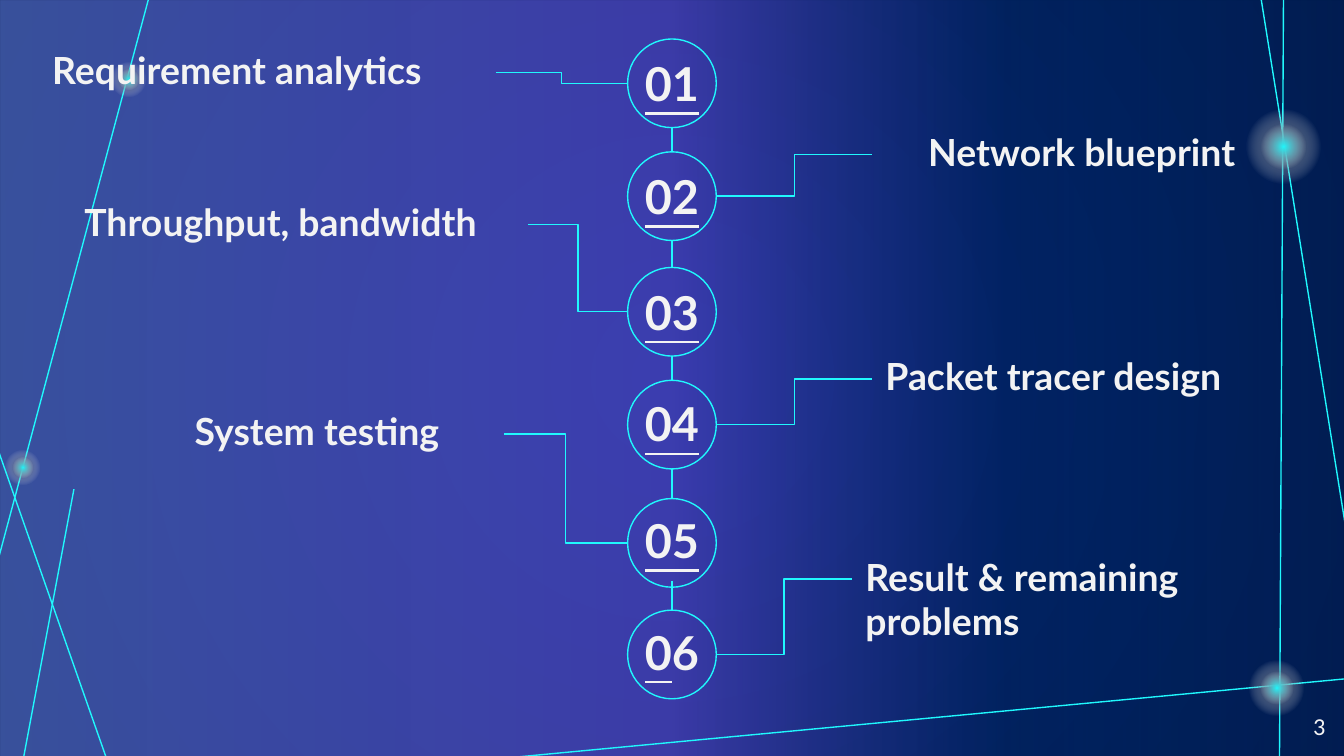
from lxml import etree
from pptx import Presentation
from pptx.dml.color import RGBColor
from pptx.enum.shapes import MSO_CONNECTOR, MSO_SHAPE
from pptx.enum.text import MSO_ANCHOR, PP_ALIGN
from pptx.oxml.ns import qn
from pptx.util import Inches, Pt

STRAIGHT, ELBOW = MSO_CONNECTOR.STRAIGHT, MSO_CONNECTOR.ELBOW
OVAL, RECTANGLE = MSO_SHAPE.OVAL, MSO_SHAPE.RECTANGLE
LEFT, CENTER, RIGHT = PP_ALIGN.LEFT, PP_ALIGN.CENTER, PP_ALIGN.RIGHT
TOP = MSO_ANCHOR.TOP
RIGHT_SIDE, LEFT_SIDE = 3, 1

CYAN = RGBColor(0x20, 0xF8, 0xFD)
NAVY = RGBColor(0x01, 0x20, 0x60)
DARK_NAVY = RGBColor(0x00, 0x18, 0x3A)
LIGHT = RGBColor(0xF3, 0xF3, 0xF3)
PERIWINKLE = RGBColor(0x74, 0x8B, 0xFF)
VIOLET = RGBColor(0x76, 0x59, 0xFF)
BLUE = RGBColor(0x02, 0x2E, 0x88)

WIDTH = 10
HEIGHT = WIDTH * 9 / 16

# Gradient stops: position %, colour, opacity %
BACKGROUND_STOPS = [(0, NAVY, 100), (100, DARK_NAVY, 100)]
WASH_STOPS = [(0, PERIWINKLE, 49), (50, VIOLET, 50), (75, BLUE, 35), (100, NAVY, 60)]

# Decorative lines: x1, y1, x2, y2
NETWORK_LINES = [
    (9.38, -0.03, 10.02, 3.97),
    (9.55, -0.06, 9.52, 5.73),
    (3.77, 5.64, 10.13, 5.04),
    (-0.01, 3.36, 0.83, 5.75),
    (0.16, 5.72, 0.55, 3.64),
    (1.13, -0.1, -0.01, 4.15),
]
# Glowing nodes: centre x, centre y, halo diameter, core diameter
NODES = [
    (9.55, 1.09, 0.79, 0.47),
    (9.5, 5.12, 0.58, 0.35),
    (0.17, 3.48, 0.37, 0.22),
    (0.96, 0.59, 0.37, 0.22),
]

# Steps: number, circle top, number top, label, label left, top, width, alignment, indent
STEPS = [
    ("01", 0.29, 0.31, "Requirement analytics", 0.29, 0.25, 3.4, LEFT, 0),
    ("02", 1.13, 1.15, "Network blueprint", 6.49, 0.86, 2.8, RIGHT, 0),
    ("03", 1.99, 2.01, "Throughput, bandwidth", 0.53, 1.38, 3.4, LEFT, 0),
    ("04", 2.83, 2.84, "Packet tracer design", 6.49, 2.53, 3.1, LEFT, 0),
    ("05", 3.71, 3.71, "System testing", 0.35, 2.94, 3.4, LEFT, 1),
    ("06", 4.54, 4.54, "Result & remaining problems", 6.34, 4.02, 3.1, LEFT, 0),
]
CENTER_X = 5
DIAMETER = 0.66
NUMBER_WIDTH, NUMBER_HEIGHT = 1.14, 0.61
LABEL_HEIGHT = 0.58


def set_gradient(element, stops, radial):
    """Turn the first solid fill below the element into a gradient."""
    solid = element.find(".//" + qn("a:solidFill"))
    gradient = etree.Element(qn("a:gradFill"), rotWithShape="1")
    stop_list = etree.SubElement(gradient, qn("a:gsLst"))
    for position, color, opacity in stops:
        stop = etree.SubElement(stop_list, qn("a:gs"), pos=str(position * 1000))
        value = etree.SubElement(stop, qn("a:srgbClr"), val=str(color))
        if opacity < 100:
            etree.SubElement(value, qn("a:alpha"), val=str(opacity * 1000))
    if radial:
        circle = etree.SubElement(gradient, qn("a:path"), attrib={"path": "circle"})
        etree.SubElement(circle, qn("a:fillToRect"), l="50000", t="50000", r="50000", b="50000")
    else:
        etree.SubElement(gradient, qn("a:lin"), ang="0", scaled="0")
    solid.getparent().replace(solid, gradient)


def add_gradient_shape(slide, kind, box, stops, radial):
    shape = slide.shapes.add_shape(kind, *map(Inches, box))
    shape.shadow.inherit = False
    shape.line.fill.background()
    shape.fill.solid()
    set_gradient(shape.element, stops, radial)


def add_line(slide, kind, *points):
    connector = slide.shapes.add_connector(kind, *map(Inches, points))
    connector.line.color.rgb = CYAN
    connector.line.width = Pt(0.75)
    etree.SubElement(connector.element.spPr, qn("a:effectLst"))
    return connector


def style_run(run, size, font="Lato", bold=True):
    run.font.size = Pt(size)
    run.font.name = font
    run.font.bold = bold
    run.font.color.rgb = LIGHT


def add_text(slide, text, box, size, alignment, font="Lato", bold=True):
    shape = slide.shapes.add_textbox(*map(Inches, box))
    frame = shape.text_frame
    frame.word_wrap = True
    frame.vertical_anchor = TOP
    frame.margin_left = frame.margin_right = Inches(0.1)
    frame.margin_top = frame.margin_bottom = Inches(0.1)
    frame.text = text
    paragraph = frame.paragraphs[0]
    paragraph.alignment = alignment
    style_run(paragraph.runs[0], size, font, bold)
    return shape


presentation = Presentation()
presentation.slide_width = Inches(WIDTH)
presentation.slide_height = Inches(HEIGHT)
slide = presentation.slides.add_slide(presentation.slide_layouts[6])

# Background, colour wash and network decoration
slide.background.fill.solid()
set_gradient(slide.element, BACKGROUND_STOPS, True)
add_gradient_shape(slide, RECTANGLE, (0, 0, WIDTH, HEIGHT), WASH_STOPS, False)
for points in NETWORK_LINES:
    add_line(slide, STRAIGHT, *points)
for x, y, halo, core in NODES:
    for diameter, color in ((halo, DARK_NAVY), (core, CYAN)):
        box = (x - diameter / 2, y - diameter / 2, diameter, diameter)
        add_gradient_shape(slide, OVAL, box, [(0, color, 100), (50, LIGHT, 0), (100, LIGHT, 0)], True)

# Steps: circle, number, label and the elbow between circle and label
for number, top, number_top, text, left, label_top, width, alignment, indent in STEPS:
    circle_box = (CENTER_X - DIAMETER / 2, top, DIAMETER, DIAMETER)
    circle = slide.shapes.add_shape(OVAL, *map(Inches, circle_box))
    circle.shadow.inherit = False
    circle.fill.background()
    circle.line.color.rgb = CYAN
    circle.line.width = Pt(0.75)

    # Only the first digit of the last number is underlined
    number_box = (CENTER_X - NUMBER_WIDTH / 2, number_top, NUMBER_WIDTH, NUMBER_HEIGHT)
    underlined = "0" if number == "06" else number
    paragraph = add_text(slide, underlined, number_box, 25, CENTER).text_frame.paragraphs[0]
    paragraph.runs[0].font.underline = True
    if underlined != number:
        rest = paragraph.add_run()
        rest.text = number[1:]
        style_run(rest, 25)

    label = add_text(slide, text, (left, label_top, width, LABEL_HEIGHT), 20, alignment)
    if indent:
        label.element.find(".//" + qn("a:pPr")).set("marL", str(Inches(indent)))

    label_y = label_top + LABEL_HEIGHT / 2
    circle_y = top + DIAMETER / 2
    if left < CENTER_X:
        elbow = add_line(slide, ELBOW, left + width, label_y, CENTER_X - DIAMETER / 2, circle_y)
        elbow.begin_connect(label, RIGHT_SIDE)
    else:
        elbow = add_line(slide, ELBOW, CENTER_X + DIAMETER / 2, circle_y, left, label_y)
        elbow.end_connect(label, LEFT_SIDE)

# Links between circles; the last one starts at the bottom of its number box
link_starts = [step[1] + DIAMETER for step in STEPS[:-2]] + [STEPS[-2][2] + NUMBER_HEIGHT]
for start, following in zip(link_starts, STEPS[1:]):
    add_line(slide, STRAIGHT, CENTER_X, start, CENTER_X, following[1])

# Slide number
add_text(slide, "3", (9.36, 5.19, 0.6, 0.43), 13, RIGHT, "Calibri", False)

presentation.save("out.pptx")
